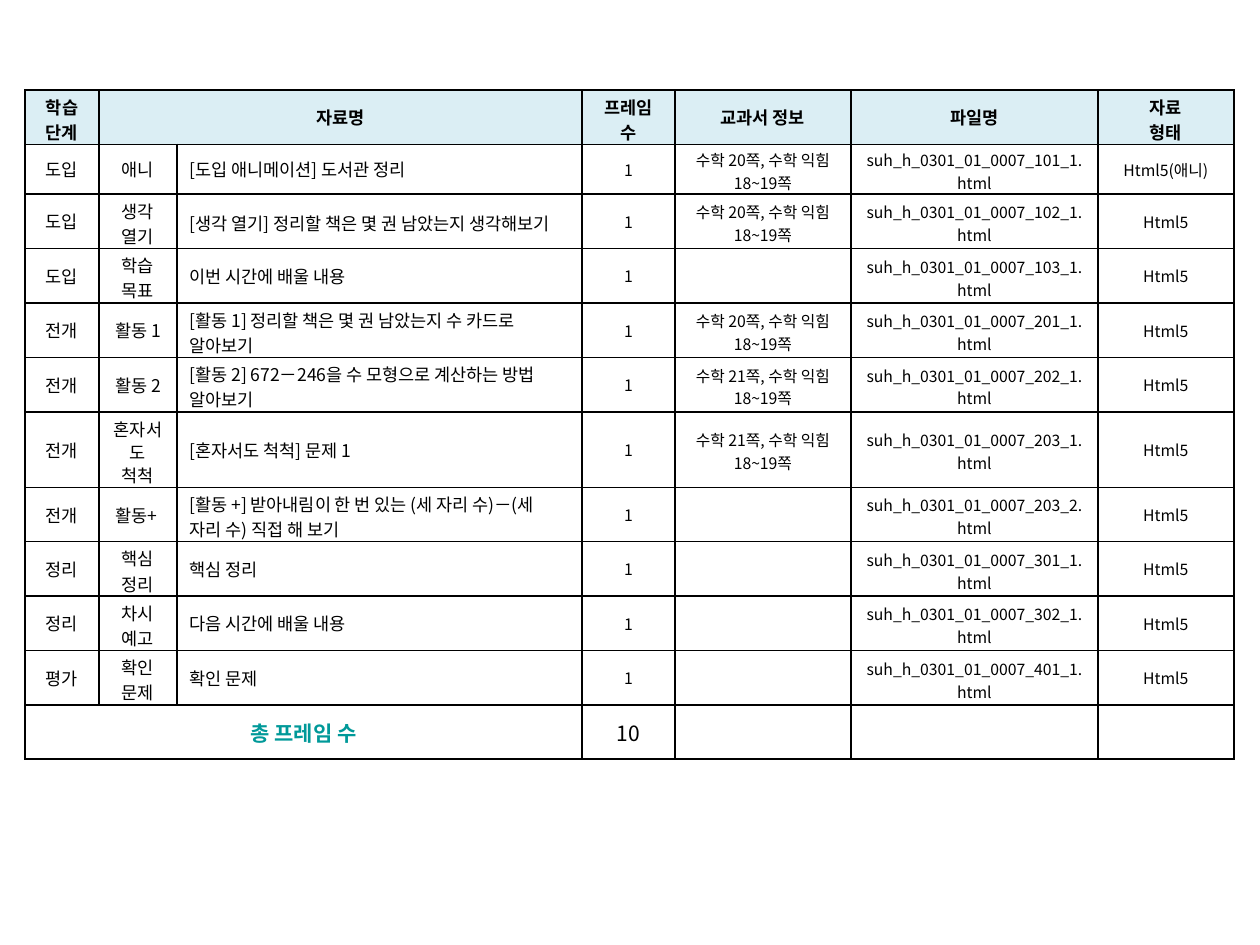
import pptx
import pptx.util
import pptx.dml.color
import pptx.enum.text
import pptx.oxml
import pptx.oxml.ns

PX = 914400 // 126

THEME = {
    "font": "Noto Sans CJK KR",
    "ink": "000000", "teal": "009999", "head": "DBEEF4",
    "small": 9, "text": 10, "total": 12,
}
MID = pptx.enum.text.PP_ALIGN.CENTER
LEFT = pptx.enum.text.PP_ALIGN.LEFT

HEAD = ["학습 단계", "자료명", "", "프레임 수", "교과서 정보", "파일명", "자료\n형태"]
# stage, part, title, textbook page, file number
ROWS = [
    ("도입", "애니", "[도입 애니메이션] 도서관 정리", 20, "101_1"),
    ("도입", "생각 열기", "[생각 열기] 정리할 책은 몇 권 남았는지 생각해보기", 20, "102_1"),
    ("도입", "학습 목표", "이번 시간에 배울 내용", None, "103_1"),
    ("전개", "활동 1", "[활동 1] 정리할 책은 몇 권 남았는지 수 카드로 알아보기", 20, "201_1"),
    ("전개", "활동 2", "[활동 2] 672－246을 수 모형으로 계산하는 방법 알아보기", 21, "202_1"),
    ("전개", "혼자서도 척척", "[혼자서도 척척] 문제 1", 21, "203_1"),
    ("전개", "활동+ ", "[활동 +] 받아내림이 한 번 있는 (세 자리 수)－(세 자리 수) 직접 해 보기",
     None, "203_2"),
    ("정리", "핵심 정리", "핵심 정리", None, "301_1"),
    ("정리", "차시 예고", "다음 시간에 배울 내용", None, "302_1"),
    ("평가", "확인 문제", "확인 문제", None, "401_1"),
]
COLS = [74, 78, 405, 93, 176, 247, 136]
ROOM = [4, 4, 26, 4, 7, 20, 10]  # letters that fit on one line
HIGH = [54, 28, 28] + [54] * 9


def rgb(code):
    return pptx.dml.color.RGBColor.from_string(code)


def edge(cell):
    """Draw a thin line on all four sides, ahead of the cell's fill."""
    props = cell._tc.get_or_add_tcPr()
    for spot, side in enumerate(("lnL", "lnR", "lnT", "lnB")):
        props.insert(spot, pptx.oxml.parse_xml(
            f'<a:{side} {pptx.oxml.ns.nsdecls("a")} w="12700"><a:solidFill>'
            f'<a:srgbClr val="{THEME["ink"]}"/></a:solidFill></a:{side}>'))


def inset(cell, **sides):
    for side, size in sides.items():
        setattr(cell, f"margin_{side}", size * PX)


def write(cell, text, size, bold=False, ink="ink", align=MID, fill=None):
    cell.vertical_anchor = pptx.enum.text.MSO_ANCHOR.MIDDLE
    if fill:
        cell.fill.solid()
        cell.fill.fore_color.rgb = rgb(THEME[fill])
    else:
        cell.fill.background()
    edge(cell)
    cell.text = text
    look = {"size": pptx.util.Pt(THEME[size]), "bold": bold, "name": THEME["font"]}
    for para in cell.text_frame.paragraphs:
        para.alignment = align
        for run in para.runs:
            for key, value in look.items():
                setattr(run.font, key, value)
            run.font.color.rgb = rgb(THEME[ink])
            east = pptx.oxml.parse_xml(
                f'<a:ea {pptx.oxml.ns.nsdecls("a")} typeface="{THEME["font"]}"/>')
            run.font._element.find(pptx.oxml.ns.qn("a:latin")).addnext(east)
        if not para.runs:  # keeps an empty cell from stretching its row
            para._p.append(pptx.oxml.parse_xml(
                f'<a:endParaRPr {pptx.oxml.ns.nsdecls("a")} sz="{THEME[size] * 100}"/>'))


def fit(cell, text, col):
    """Tighten a cell whose text takes more than one line."""
    if len(text) > ROOM[col] or "\n" in text:
        inset(cell, top=4, bottom=0)
    if col == 1 and len(text) > 5:  # three lines
        inset(cell, left=14, right=14, top=6)
        cell.text_frame.paragraphs[0].line_spacing = 0.92
    if col == 2:
        inset(cell, right=19)


def plan(slide, left, top, width, height):
    """Place the table of lesson materials in the given box."""
    frame = slide.shapes.add_table(len(HIGH), len(COLS), left * PX, top * PX,
                                   width * PX, height * PX)
    table = frame.table
    table.first_row = table.horz_banding = False
    for col, size in zip(table.columns, COLS):
        col.width = size * PX
    for row, size in zip(table.rows, HIGH):
        row.height = size * PX
    frame.height = height * PX

    # Heading
    for col, text in enumerate(HEAD):
        cell = table.cell(0, col)
        write(cell, text, "text", bold=True, fill="head")
        fit(cell, text, col)
    table.cell(0, 1).merge(table.cell(0, 2))

    # Materials
    for row, (stage, part, title, page, code) in enumerate(ROWS, 1):
        book = f"수학 {page}쪽, 수학 익힘 18~19쪽" if page else ""
        kind = "Html5(애니)" if row == 1 else "Html5"
        line = [stage, part, title, "1", book, f"suh_h_0301_01_0007_{code}.html", kind]
        for col, text in enumerate(line):
            cell = table.cell(row, col)
            write(cell, text, "text" if col < 3 else "small",
                  align=LEFT if col == 2 else MID)
            fit(cell, text, col)

    # Total
    last = len(HIGH) - 1
    for col in range(len(COLS)):
        text = {0: "총 프레임 수", 3: str(len(ROWS))}.get(col, "")
        write(table.cell(last, col), text, "total", bold=col == 0,
              ink="ink" if col else "teal")
    table.cell(last, 0).merge(table.cell(last, 2))


def main():
    deck = pptx.Presentation()
    deck.slide_width, deck.slide_height = 1260 * PX, 945 * PX
    slide = deck.slides.add_slide(deck.slide_layouts[6])
    plan(slide, 25, 90, sum(COLS), 672)
    deck.save("out.pptx")


if __name__ == "__main__":
    main()
